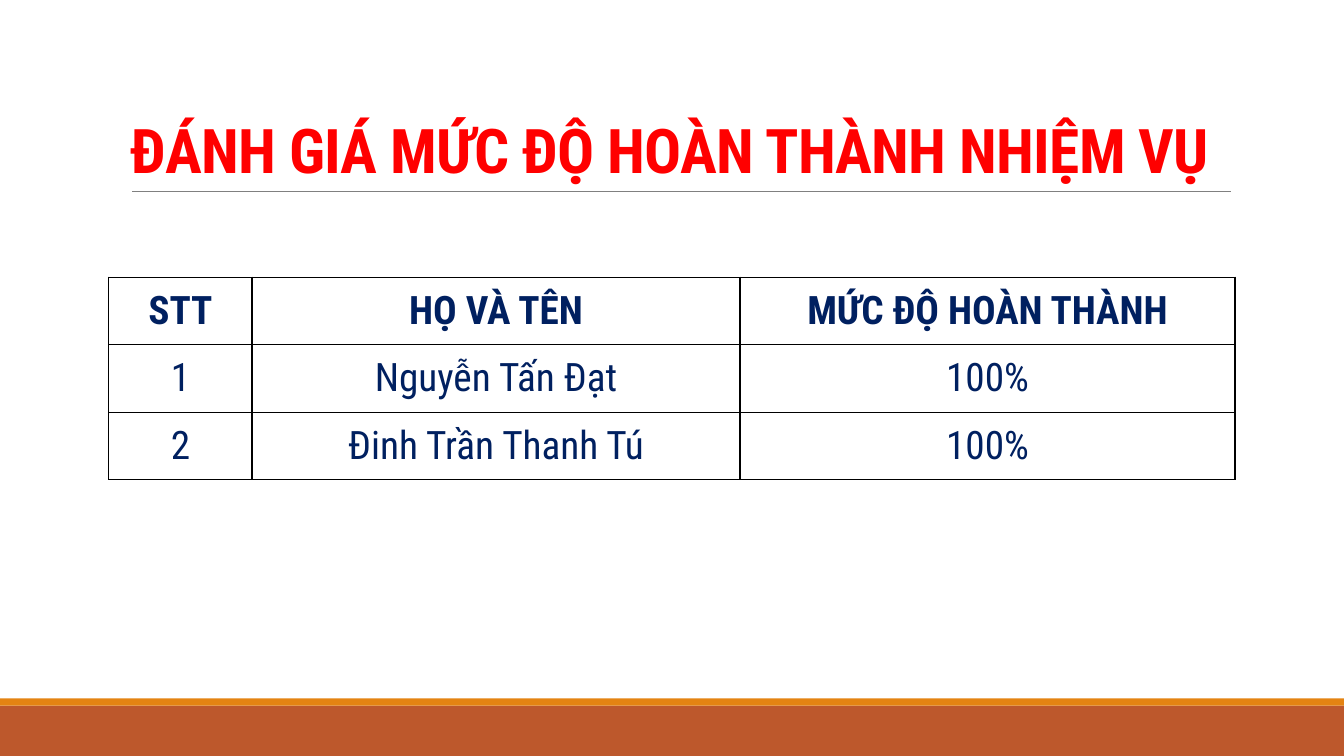
from pptx import Presentation
from pptx import util as u
from pptx.dml.color import RGBColor
from pptx.enum import shapes, text
from pptx.oxml import parse_xml
from pptx.oxml.ns import nsdecls

FONT = "Roboto Condensed"
COLUMN_WIDTHS = [1.42, 4.84, 4.91]
ROW_HEIGHT = 0.67
RATINGS = [
    ["STT", "HỌ VÀ TÊN", "MỨC ĐỘ HOÀN THÀNH"],
    ["1", "Nguyễn Tấn Đạt", "100%"],
    ["2", "Đinh Trần Thanh Tú", "100%"],
]


def color(value):
    return RGBColor.from_string(value)


def write(frame, content, size, fill, bold=False, align=text.PP_ALIGN.LEFT,
          anchor=text.MSO_ANCHOR.MIDDLE, line_spacing=None, tracking=None):
    frame.word_wrap = True
    frame.vertical_anchor = anchor
    para = frame.paragraphs[0]
    para.alignment = align
    para.line_spacing = line_spacing
    span = para.add_run()
    span.text = content
    span.font.name = FONT
    span.font.size = u.Pt(size)
    span.font.bold = bold
    span.font.color.rgb = color(fill)
    if tracking is not None:
        span.font._element.set("spc", str(round(tracking * 100)))


def add_band(page, top, height, fill):
    band = page.shapes.add_shape(
        shapes.MSO_SHAPE.RECTANGLE, 0, u.Inches(top), u.Inches(13.33), u.Inches(height))
    band.shadow.inherit = False
    band.fill.solid()
    band.fill.fore_color.rgb = color(fill)
    band.line.fill.background()


def add_rule(page, left, right, top):
    rule = page.shapes.add_connector(
        shapes.MSO_CONNECTOR.STRAIGHT,
        u.Inches(left), u.Inches(top), u.Inches(right), u.Inches(top))
    rule.line.color.rgb = color("808080")
    rule.line.width = u.Pt(0.5)
    rule._element.spPr.append(parse_xml(f"<a:effectLst {nsdecls('a')}/>"))


def add_title(page, content):
    box = page.shapes.add_textbox(
        u.Inches(1.2), u.Inches(0.31), u.Inches(11), u.Inches(1.59))
    write(box.text_frame, content, 44, "FF0000", bold=True,
          anchor=text.MSO_ANCHOR.BOTTOM, line_spacing=0.85, tracking=-0.5)


def add_borders(cell):
    properties = cell._tc.get_or_add_tcPr()
    for position, side in enumerate(("lnL", "lnR", "lnT", "lnB")):
        properties.insert(position, parse_xml(
            f'<a:{side} {nsdecls("a")} w="{u.Pt(1)}"><a:solidFill>'
            f'<a:srgbClr val="000000"/></a:solidFill></a:{side}>'))


def add_ratings(page, left, top):
    table = page.shapes.add_table(
        len(RATINGS), len(COLUMN_WIDTHS), u.Inches(left), u.Inches(top),
        u.Inches(sum(COLUMN_WIDTHS)), u.Inches(ROW_HEIGHT * len(RATINGS))).table
    table.horz_banding = False
    for column, width in zip(table.columns, COLUMN_WIDTHS):
        column.width = u.Inches(width)
    for row_index, values in enumerate(RATINGS):
        table.rows[row_index].height = u.Inches(ROW_HEIGHT)
        for column_index, value in enumerate(values):
            cell = table.cell(row_index, column_index)
            cell.fill.background()
            add_borders(cell)
            write(cell.text_frame, value, 28, "002060", bold=row_index == 0,
                  align=text.PP_ALIGN.CENTER)
            cell.vertical_anchor = text.MSO_ANCHOR.MIDDLE


def main():
    deck = Presentation()
    deck.slide_width = u.Inches(13.33)
    deck.slide_height = u.Inches(7.5)
    page = deck.slides.add_slide(deck.slide_layouts[6])
    add_band(page, 7, 0.5, "BD582C")
    add_band(page, 6.93, 0.07, "E48312")
    add_rule(page, 1.31, 12.21, 1.9)
    add_title(page, "ĐÁNH GIÁ MỨC ĐỘ HOÀN THÀNH NHIỆM VỤ")
    add_ratings(page, 1.08, 2.75)
    deck.save("out.pptx")


if __name__ == "__main__":
    main()
